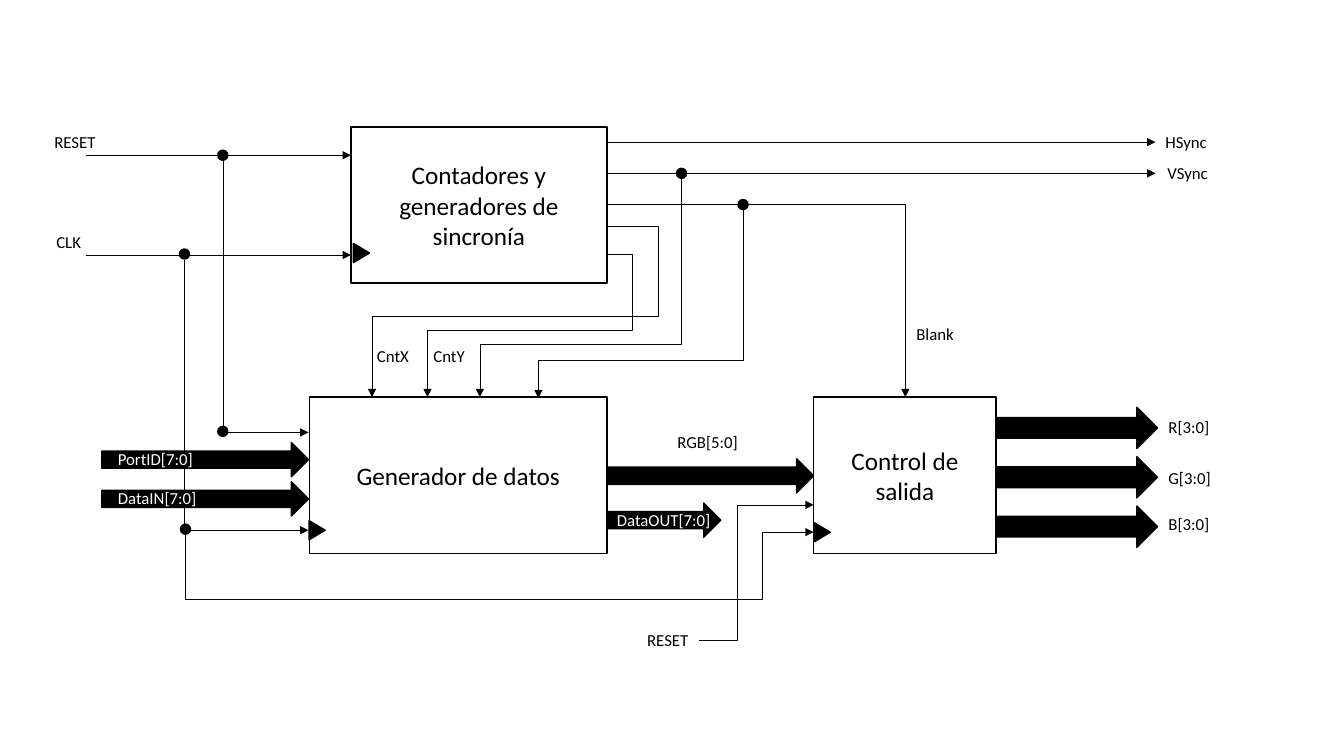
import pptx
import pptx.util
import pptx.dml.color
import pptx.enum.shapes
import pptx.enum.text
import pptx.oxml.ns
import lxml.etree

Inches = pptx.util.Inches
Shape = pptx.enum.shapes.MSO_SHAPE
Kind = pptx.enum.shapes.MSO_CONNECTOR
Text = pptx.enum.text
qn = pptx.oxml.ns.qn
BLACK, WHITE = "000000", "FFFFFF"


def color(value):
    """Turn a hex string into a colour."""
    return pptx.dml.color.RGBColor.from_string(value)


def style(text, size, tint):
    """Set the font of a paragraph."""
    text.font.name = "Calibri"
    text.font.size = pptx.util.Pt(size)
    text.font.color.rgb = color(tint)


def solid(slide, kind, box, fill=BLACK):
    """Add a filled shape with a black outline."""
    shape = slide.shapes.add_shape(kind, *map(Inches, box))
    shape.shadow.inherit = False
    shape.fill.solid()
    shape.fill.fore_color.rgb = color(fill)
    shape.line.color.rgb = color(BLACK)
    shape.line.width = pptx.util.Pt(1)
    return shape


def block(slide, words, box):
    """Add a named circuit block."""
    frame = solid(slide, Shape.RECTANGLE, box, WHITE).text_frame
    frame.word_wrap = True
    frame.vertical_anchor = Text.MSO_ANCHOR.MIDDLE
    text = frame.paragraphs[0]
    text.text = words
    text.alignment = Text.PP_ALIGN.CENTER
    style(text, 18, BLACK)


def label(slide, words, left, top, width, tint=BLACK):
    """Add a signal name."""
    box = slide.shapes.add_textbox(*map(Inches, (left, top, width, 0.3)))
    frame = box.text_frame
    frame.word_wrap = False
    frame.auto_size = Text.MSO_AUTO_SIZE.SHAPE_TO_FIT_TEXT
    frame.paragraphs[0].text = words
    style(frame.paragraphs[0], 12, tint)


def clock(slide, left, top):
    """Add a clock input mark."""
    solid(slide, Shape.ISOSCELES_TRIANGLE, (left, top, 0.19, 0.16)).rotation = 90


def bend(wire, points, turned):
    """Shape an elbow connector so that it passes through its corners."""
    if turned:
        wire.element.spPr.find(qn("a:xfrm")).set("rot", "5400000")
    shape = wire.element.spPr.find(qn("a:prstGeom"))
    shape.set("prst", f"bentConnector{len(points) - 1}")
    guides = shape.find(qn("a:avLst"))
    start, end = points[0], points[-1]
    for i, point in enumerate(points[1:-2], 1):
        axis = (i - 1 + turned) % 2
        share = (point[axis] - start[axis]) / (end[axis] - start[axis])
        guide = lxml.etree.SubElement(guides, qn("a:gd"))
        guide.set("name", f"adj{i}")
        guide.set("fmla", f"val {round(share * 100000)}")


def route(slide, *points):
    """Add a wire with an arrowhead along right-angled points."""
    (x1, y1), (x2, y2) = points[0], points[-1]
    elbow = len(points) > 2
    turned = elbow and points[1][0] == x1
    wide, high = (y2 - y1, x1 - x2) if turned else (x2 - x1, y2 - y1)
    midx, midy = (x1 + x2) / 2, (y1 + y2) / 2
    ends = (midx - wide / 2, midy - high / 2, midx + wide / 2, midy + high / 2)
    kind = Kind.ELBOW if elbow else Kind.STRAIGHT
    wire = slide.shapes.add_connector(kind, *map(Inches, ends))
    wire.line.color.rgb = color(BLACK)
    wire.line.width = pptx.util.Pt(0.5)
    props = wire.element.spPr
    head = lxml.etree.SubElement(props.find(qn("a:ln")), qn("a:tailEnd"))
    head.set("type", "triangle")
    lxml.etree.SubElement(props, qn("a:effectLst"))
    if elbow:
        bend(wire, points, turned)


def main():
    """Build the video controller diagram."""
    deck = pptx.Presentation()
    deck.slide_width, deck.slide_height = Inches(13.33), Inches(7.5)
    slide = deck.slides.add_slide(deck.slide_layouts[6])

    buses = [(9.89, top, 1.59, 0.41) for top in (4.04, 4.53, 5.02)]
    buses += [(1.01, top, 2.05, 0.34) for top in (4.39, 4.78)]
    buses += [(6.02, 4.55, 2.05, 0.34), (6.02, 4.99, 1.13, 0.34)]
    for bus in buses:
        solid(slide, Shape.RIGHT_ARROW, bus)

    block(slide, "Contadores y generadores de sincronía", (3.48, 1.26, 2.54, 1.55))
    block(slide, "Generador de datos", (3.07, 3.94, 2.95, 1.55))
    block(slide, "Control de salida", (8.07, 3.94, 1.81, 1.55))

    for y in (1.41, 1.72):
        route(slide, (6.02, y), (11.46, y))
    for y in (1.54, 2.53):
        route(slide, (0.85, y), (3.48, y))
    route(slide, (6.02, 2.03), (8.98, 2.03), (8.98, 3.94))
    route(slide, (6.02, 2.25), (6.53, 2.25), (6.53, 3.14), (3.69, 3.14), (3.69, 3.94))
    route(slide, (6.02, 2.52), (6.27, 2.52), (6.27, 3.28), (4.24, 3.28), (4.24, 3.94))
    route(slide, (6.76, 1.77), (6.76, 3.42), (4.76, 3.42), (4.76, 3.94))
    route(slide, (7.37, 2.08), (7.37, 3.58), (5.34, 3.58), (5.34, 3.95))
    route(slide, (1.83, 2.58), (1.83, 5.26), (3.06, 5.26))
    route(slide, (2.22, 1.59), (2.22, 4.29), (3.06, 4.29))
    route(slide, (1.84, 5.3), (1.84, 5.94), (7.56, 5.94), (7.56, 5.28), (8.07, 5.28))
    route(slide, (6.93, 6.35), (7.31, 6.35), (7.31, 5.01), (8.07, 5.01))

    dots = [(6.71, 1.67), (7.32, 1.98), (1.78, 2.47), (1.79, 5.2),
            (2.16, 1.49), (2.16, 4.23)]
    for left, top in dots:
        solid(slide, Shape.OVAL, (left, top, 0.1, 0.1))
    for left, top in ((3.49, 2.43), (3.05, 5.18), (8.06, 5.2)):
        clock(slide, left, top)

    names = [
        ("RESET", 0.44, 1.26, 0.62), ("CLK", 0.46, 2.25, 0.45),
        ("HSync", 11.46, 1.26, 0.62), ("VSync", 11.48, 1.57, 0.61),
        ("CntX", 3.64, 3.38, 0.52), ("CntY", 4.2, 3.38, 0.52),
        ("Blank", 8.99, 3.16, 0.58), ("RGB[5:0]", 6.62, 4.23, 0.81),
        ("R[3:0]", 11.49, 4.09, 0.61), ("G[3:0]", 11.49, 4.59, 0.63),
        ("B[3:0]", 11.49, 5.05, 0.61), ("RESET", 6.32, 6.2, 0.62),
        ("PortID[7:0]", 1.07, 4.4, 0.95, WHITE),
        ("DataIN[7:0]", 1.07, 4.79, 0.99, WHITE),
        ("DataOUT[7:0]", 6.02, 5.01, 1.14, WHITE),
    ]
    for name in names:
        label(slide, *name)

    deck.save("out.pptx")


main()
